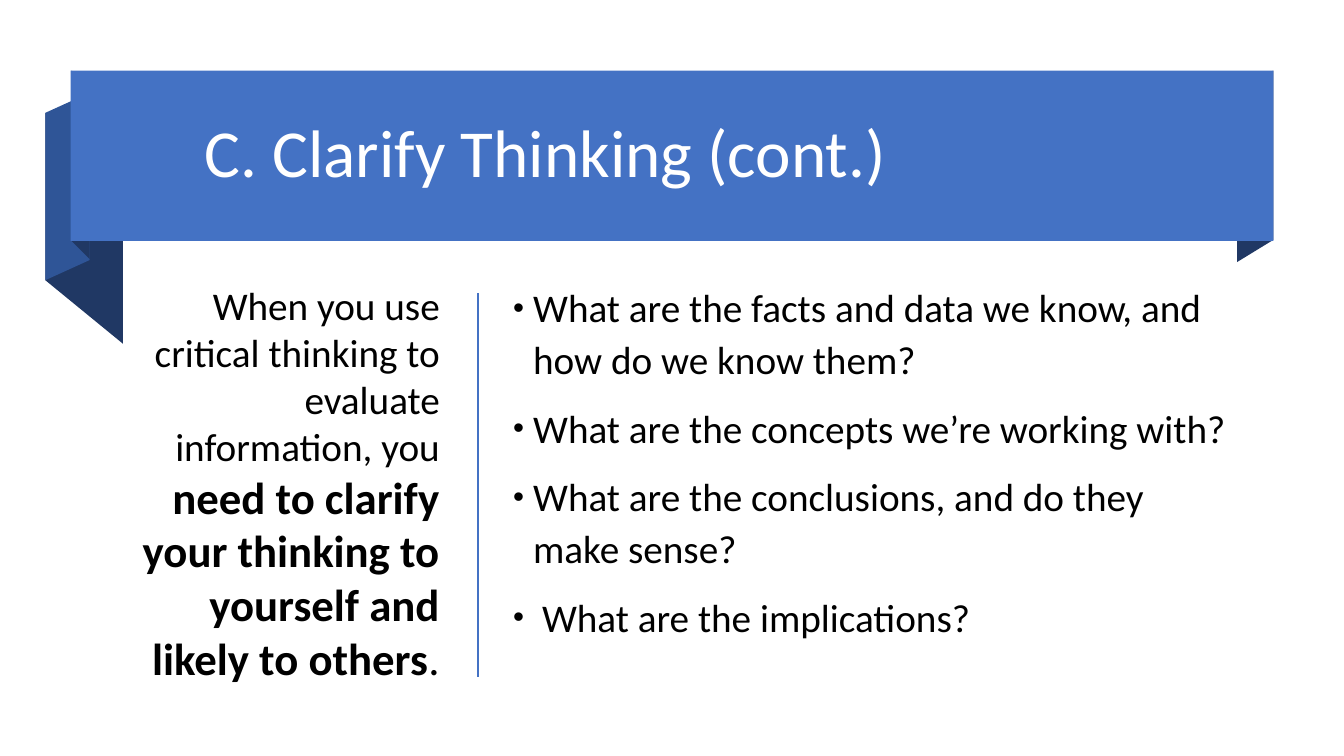
from pptx import Presentation
from pptx.dml.color import RGBColor
from pptx.enum.shapes import MSO_CONNECTOR as Connector, MSO_SHAPE as Shape
from pptx.enum.text import MSO_ANCHOR as Anchor, PP_ALIGN as Align
from pptx.oxml.ns import qn
from pptx.util import Inches, Pt
from lxml.etree import SubElement

COLORS = {"banner": "4472C4", "fold": "2F5597", "shade": "203864",
          "title": "FFFFFF", "body": "000000"}


class SlideBuilder:
    font_name = "Calibri"

    def __init__(self, page):
        self.page = page

    def color(self, name):
        return RGBColor.from_string(COLORS[name])

    def paint(self, shape, color):
        shape.shadow.inherit = False
        shape.fill.solid()
        shape.fill.fore_color.rgb = self.color(color)
        shape.line.fill.background()

    def rectangle(self, left, top, width, height, color):
        shape = self.page.shapes.add_shape(
            Shape.RECTANGLE, Inches(left), Inches(top), Inches(width), Inches(height))
        self.paint(shape, color)

    def fold(self, left, right, left_top, right_top, left_bottom, right_bottom, color):
        """Draw a ribbon face with two upright sides."""
        corners = [(right, right_bottom), (left, left_bottom),
                   (left, left_top), (right, right_top)]
        points = [(Inches(x), Inches(y)) for x, y in corners]
        outline = self.page.shapes.build_freeform(*points[0], scale=1.0)
        outline.add_line_segments(points[1:], close=True)
        self.paint(outline.convert_to_shape(), color)

    def text_box(self, left, top, width, height, anchor=Anchor.TOP):
        box = self.page.shapes.add_textbox(
            Inches(left), Inches(top), Inches(width), Inches(height))
        frame = box.text_frame
        frame.word_wrap = True
        frame.vertical_anchor = anchor
        return frame

    def style(self, font, size, color="body"):
        font.name = self.font_name
        font.size = Pt(size)
        font.color.rgb = self.color(color)

    def title(self, text, *bounds):
        para = self.text_box(*bounds, anchor=Anchor.MIDDLE).paragraphs[0]
        para.text = text
        para.line_spacing = 0.9
        self.style(para.font, 48, "title")

    def statement(self, spans, *bounds):
        para = self.text_box(*bounds).paragraphs[0]
        para.alignment = Align.RIGHT
        for text, size, bold in spans:
            span = para.add_run()
            span.text = text
            self.style(span.font, size)
            span.font.bold = bold

    def bullets(self, items, *bounds):
        frame = self.text_box(*bounds)
        for index, item in enumerate(items):
            para = frame.add_paragraph() if index else frame.paragraphs[0]
            para.text = item
            para.line_spacing = 1.1
            if index:
                para.space_before = Pt(12)
            properties = para._p.get_or_add_pPr()
            properties.set("marL", str(Inches(0.25)))
            properties.set("indent", str(Inches(-0.2)))
            SubElement(properties, qn("a:buSzPct"), val="80000")
            SubElement(properties, qn("a:buFont"), typeface="Arial")
            SubElement(properties, qn("a:buChar"), char="•")
            self.style(para.font, 28)

    def divider(self, x, top, bottom):
        line = self.page.shapes.add_connector(
            Connector.STRAIGHT, Inches(x), Inches(top), Inches(x), Inches(bottom))
        line.line.color.rgb = self.color("banner")
        line.line.width = Pt(1.5)
        SubElement(line._element.spPr, qn("a:effectLst"))


def main():
    deck = Presentation()
    deck.slide_width, deck.slide_height = Inches(13.33), Inches(7.5)
    builder = SlideBuilder(deck.slides.add_slide(deck.slide_layouts[6]))

    # Ribbon folds behind the banner
    builder.fold(0.45, 1.22, 1.12, 1.75, 2.78, 3.41, "shade")
    builder.fold(0.45, 0.89, 1.12, 0.92, 2.78, 2.58, "fold")
    builder.fold(0.71, 0.89, 0.7, 0.89, 2.39, 2.57, "shade")
    builder.fold(12.27, 12.63, 0.91, 0.7, 2.6, 2.38, "shade")

    # Banner and title
    builder.rectangle(0.7, 0.7, 11.93, 1.69, "banner")
    builder.title("C. Clarify Thinking (cont.)", 1.93, 0.88, 10.35, 1.33)

    # Statement on the left
    builder.statement([
        ("When you use critical thinking to evaluate information, you ", 28, False),
        ("need to clarify your thinking to yourself and likely to others", 32, True),
        (".", 32, False),
    ], 1.22, 2.74, 3.24, 4.63)

    # Questions on the right
    builder.bullets([
        "What are the facts and data we know, and how do we know them?",
        "What are the concepts we’re working with?",
        "What are the conclusions, and do they make sense?",
        " What are the implications?",
    ], 4.94, 2.72, 7.34, 4.06)
    builder.divider(4.74, 2.91, 6.72)

    deck.save("out.pptx")


if __name__ == "__main__":
    main()
